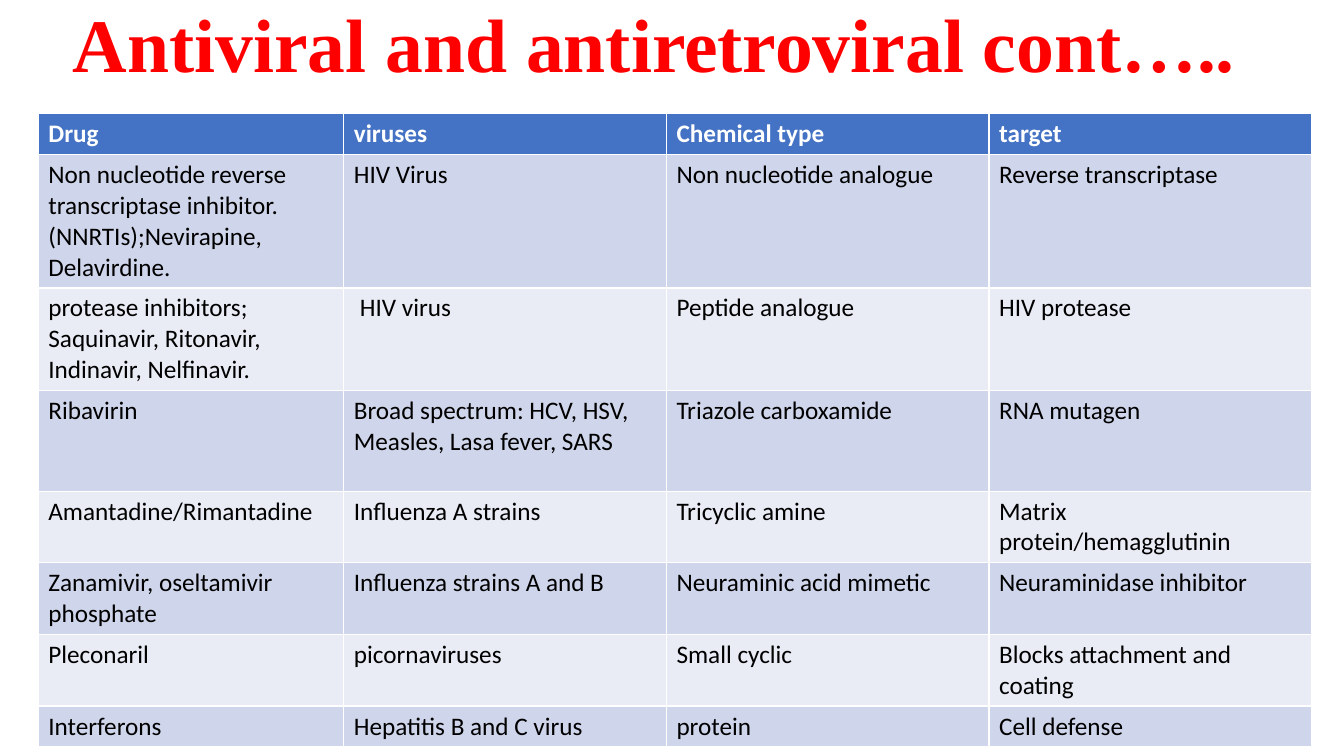
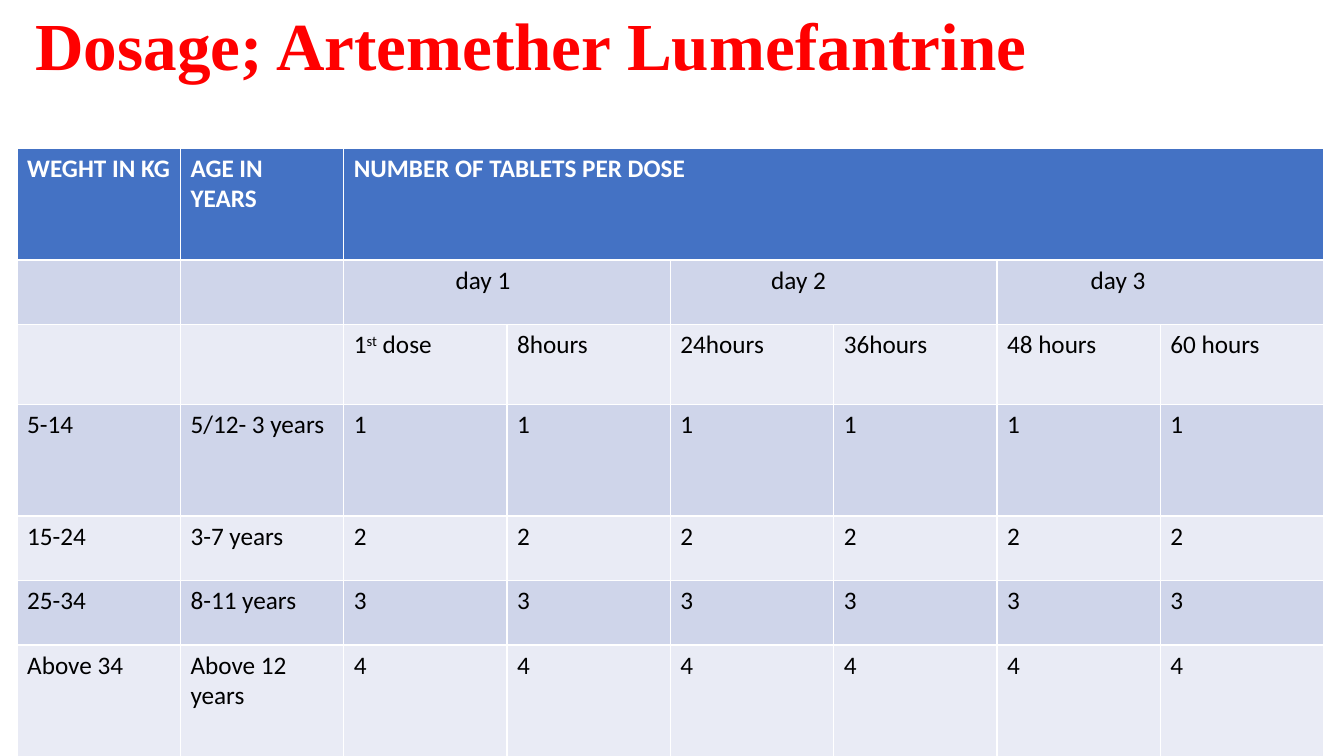
"""Build two slides of drug tables with shared title and table styles."""
from pptx import Presentation
from pptx.dml.color import RGBColor
from pptx.enum.text import MSO_ANCHOR, MSO_AUTO_SIZE, PP_ALIGN
from pptx.util import Pt

PX = 9144
RED = RGBColor(0xFF, 0x00, 0x00)
BLACK = RGBColor(0x00, 0x00, 0x00)
WHITE = RGBColor(0xFF, 0xFF, 0xFF)
BLUE = RGBColor(0x44, 0x72, 0xC4)
BANDS = [RGBColor(0xE9, 0xEB, 0xF5), RGBColor(0xCF, 0xD5, 0xEA)]

TITLE_FONT = {"name": "Times New Roman", "bold": True}
HEAD_FONT = {"name": "Calibri", "size": Pt(18), "bold": True}
BODY_FONT = {"name": "Calibri", "size": Pt(18), "bold": False}
TITLE_FRAME = {"word_wrap": True, "auto_size": MSO_AUTO_SIZE.NONE,
               "vertical_anchor": MSO_ANCHOR.MIDDLE}
TITLE_PARAGRAPH = {"alignment": PP_ALIGN.LEFT, "line_spacing": 0.9}

DRUGS = [
    ["Drug", "viruses", "Chemical type", "target"],
    ["Non nucleotide reverse transcriptase inhibitor.(NNRTIs);Nevirapine, Delavirdine.",
     "HIV Virus", "Non nucleotide analogue", "Reverse transcriptase"],
    ["protease inhibitors; Saquinavir, Ritonavir, Indinavir, Nelfinavir.",
     "HIV virus", "Peptide analogue", "HIV protease"],
    ["Ribavirin", "Broad spectrum: HCV, HSV, Measles, Lasa fever, SARS",
     "Triazole carboxamide", "RNA mutagen"],
    ["Amantadine/Rimantadine", "Influenza A strains", "Tricyclic amine",
     "Matrix protein/hemagglutinin"],
    ["Zanamivir, oseltamivir phosphate", "Influenza strains A and B",
     "Neuraminic acid mimetic", "Neuraminidase inhibitor"],
    ["Pleconaril", "picornaviruses", "Small cyclic", "Blocks attachment and coating"],
    ["Interferons", "Hepatitis B and C virus", "protein", "Cell defense"],
]
GROUPS = [("5-14", "5/12- 3 years"), ("15-24", "3-7 years"),
          ("25-34", "8-11 years"), ("Above 34", "Above 12 years")]
DOSES = [
    ["WEGHT IN KG", "AGE IN YEARS", "NUMBER OF TABLETS PER DOSE"] + [None] * 5,
    ["", "", "day 1", None, "day 2", None, "day 3", None],
    ["", "", ("1", "st", " dose"), "8hours", "24hours", "36hours", "48 hours", "60 hours"],
] + [[weight, age] + [str(n)] * 6 for n, (weight, age) in enumerate(GROUPS, 1)]

SLIDES = [
    {"title": "Antiviral and antiretroviral cont…..", "size": 54,
     "title_box": (62, 11, 1271, 74), "at": (38, 113), "rows": DRUGS,
     "widths": [303] + [320] * 3, "heights": [40, 131, 100, 100, 70, 70, 70, 40],
     "indents": {(2, 1): 16}},
    {"title": "Dosage; Artemether Lumefantrine", "size": 48,
     "title_box": (25, 0, 1295, 97), "at": (17, 147), "rows": DOSES,
     "widths": [162] * 8, "heights": [111, 64, 79, 111, 64, 64, 111],
     "indents": {(1, 2): 111, (1, 4): 100, (1, 6): 93}},
]


def px(*lengths):
    return [n * PX for n in lengths]


def apply(target, values):
    for name, value in values.items():
        setattr(target, name, value)


def add_run(p, text, font, color):
    r = p.add_run()
    r.text = text
    apply(r.font, font)
    r.font.color.rgb = color
    return r


def add_title(s, spec_title, size, box):
    sp = s.shapes.title
    apply(sp, dict(zip(("left", "top", "width", "height"), px(*box))))
    tf = sp.text_frame
    apply(tf, TITLE_FRAME)
    p = tf.paragraphs[0]
    apply(p, TITLE_PARAGRAPH)
    add_run(p, spec_title, {**TITLE_FONT, "size": Pt(size)}, RED)


def fill_cell(cell, content, is_head):
    font, color = (HEAD_FONT, WHITE) if is_head else (BODY_FONT, BLACK)
    p = cell.text_frame.paragraphs[0]
    apply(p.font, font)
    parts = content if isinstance(content, tuple) else (content,)
    for i, text in enumerate(parts):
        if text:
            r = add_run(p, text, font, color)
            if i == 1:
                r.font._element.set("baseline", "30000")


def add_grid(s, rows, at, widths, heights, indents):
    frame = s.shapes.add_table(len(rows), len(widths),
                               *px(*at, sum(widths), sum(heights)))
    table = frame.table
    for column, width in zip(table.columns, widths):
        column.width = width * PX
    for row, height in zip(table.rows, heights):
        row.height = height * PX
    for i, row in enumerate(rows):
        start = table.cell(i, 0)
        for j, content in enumerate(row):
            cell = table.cell(i, j)
            cell.fill.solid()
            cell.fill.fore_color.rgb = BANDS[i % 2] if i else BLUE
            if content is not None:
                start = cell
                fill_cell(cell, content, i == 0)
            elif j + 1 == len(row) or row[j + 1] is not None:
                start.merge(cell)
    for (i, j), indent in indents.items():
        table.cell(i, j).margin_left = indent * PX


def main():
    prs = Presentation()
    prs.slide_width, prs.slide_height = px(1333, 750)
    for item in SLIDES:
        s = prs.slides.add_slide(prs.slide_layouts[5])
        add_title(s, item["title"], item["size"], item["title_box"])
        add_grid(s, item["rows"], item["at"], item["widths"],
                 item["heights"], item["indents"])
    prs.save("out.pptx")


if __name__ == "__main__":
    main()
